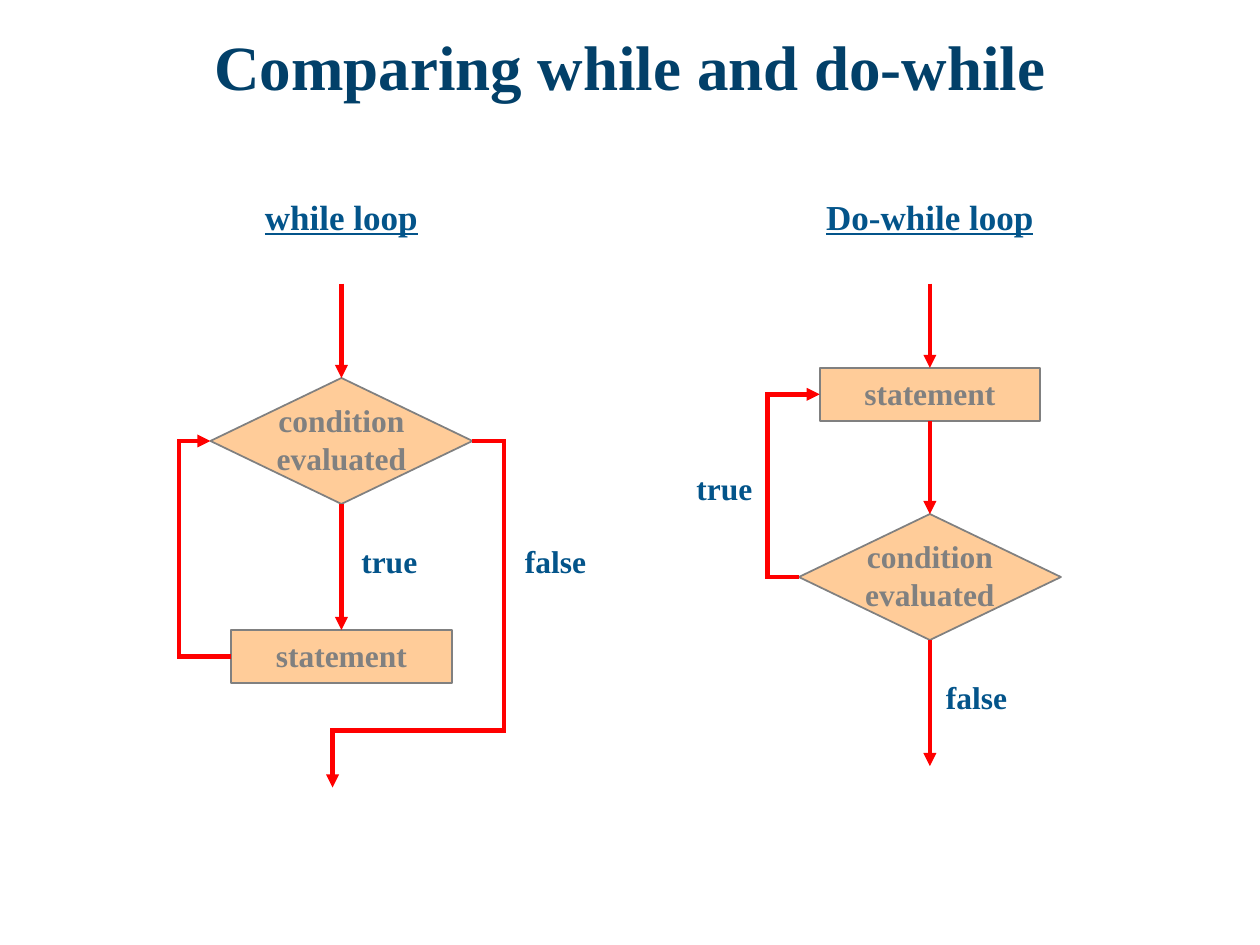
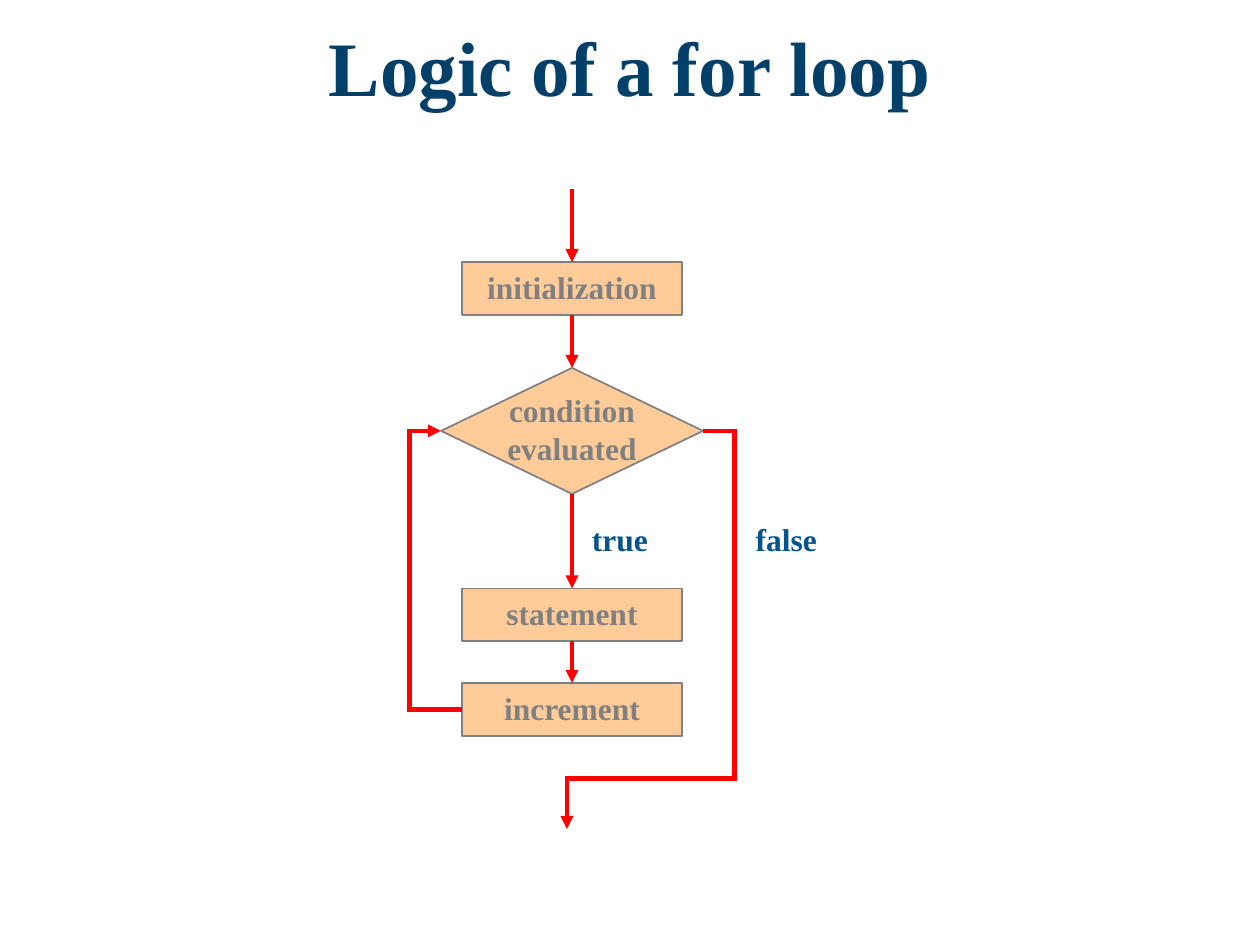
"""Build two slides of loop flowcharts: while, do-while and for."""
import pptx
import pptx.dml.color
import pptx.enum.shapes
import pptx.enum.text
import pptx.oxml
import pptx.oxml.ns
import pptx.util
from pptx.util import Inches, Pt

FONT = "Times New Roman"
COLORS = {
    "title": "024069",
    "label": "03548A",
    "node": "FFCC99",
    "node_edge": "808080",
    "arrow": "FF0000",
}
SHAPES = pptx.enum.shapes.MSO_SHAPE
CONNECTORS = pptx.enum.shapes.MSO_CONNECTOR
NODE_KINDS = {
    "step": (SHAPES.RECTANGLE, 1.75, 0.42),
    "test": (SHAPES.DIAMOND, 2.08, 1),
}
LANE = 1.29
TOP, LEFT, BOTTOM, RIGHT = 0, 1, 2, 3
CONDITION = "condition\nevaluated"

SLIDES = [
    {
        "title": ("Comparing while and do-while", 36),
        "flows": [
            {
                "center": 2.71,
                "heading": "while loop",
                "entry": 2.25,
                "nodes": [("test", CONDITION, 3), ("step", "statement", 5)],
                "back": (1, 0),
                "side_exit": {"node": 0, "turn": 5.8, "end": 6.25, "shift": -0.07},
                "labels": [("true", 0.38, 4.25), ("false", 1.7, 4.25)],
            },
            {
                "center": 7.38,
                "heading": "Do-while loop",
                "entry": 2.25,
                "nodes": [("step", "statement", 2.92), ("test", CONDITION, 4.08)],
                "back": (1, 0),
                "down_exit": 6.08,
                "labels": [("true", -1.63, 3.67), ("false", 0.37, 5.33)],
            },
        ],
    },
    {
        "title": ("Logic of a for loop", 44),
        "flows": [
            {
                "center": 4.54,
                "entry": 1.5,
                "nodes": [
                    ("step", "initialization", 2.08),
                    ("test", CONDITION, 2.92),
                    ("step", "statement", 4.67),
                    ("step", "increment", 5.42),
                ],
                "back": (3, 1),
                "side_exit": {"node": 1, "turn": 6.18, "end": 6.58, "shift": -0.04},
                "labels": [("true", 0.38, 4.08), ("false", 1.7, 4.08)],
            },
        ],
    },
]


def rgb(name):
    return pptx.dml.color.RGBColor.from_string(COLORS[name])


def write(sp, text, *, size=18, color="label", underline=None, wrap=False):
    tf = sp.text_frame
    tf.word_wrap = wrap
    tf.vertical_anchor = pptx.enum.text.MSO_ANCHOR.MIDDLE
    for i, line in enumerate(text.split("\n")):
        p = tf.add_paragraph() if i else tf.paragraphs[0]
        p.alignment = pptx.enum.text.PP_ALIGN.CENTER
        r = p.add_run()
        r.text = line
        r.font.name = FONT
        r.font.size = Pt(size)
        r.font.bold = True
        r.font.underline = underline
        r.font.color.rgb = rgb(color)


def add_label(slide, text, center, top, width=0.7, height=0.4, **fmt):
    sp = slide.shapes.add_textbox(
        Inches(center - width / 2), Inches(top), Inches(width), Inches(height))
    write(sp, text, **fmt)


def add_node(slide, center, kind, text, top):
    preset, width, height = NODE_KINDS[kind]
    sp = slide.shapes.add_shape(
        preset, Inches(center - width / 2), Inches(top), Inches(width), Inches(height))
    sp.shadow.inherit = False
    sp.fill.solid()
    sp.fill.fore_color.rgb = rgb("node")
    sp.line.color.rgb = rgb("node_edge")
    sp.line.width = Pt(1)
    tf = sp.text_frame
    tf.margin_left = tf.margin_right = tf.margin_top = 0
    tf.margin_bottom = Inches(0.03)
    write(sp, text, color="node_edge")
    return sp


def side(sp, site):
    """Return the middle of one side of a node."""
    x = {LEFT: sp.left, RIGHT: sp.left + sp.width}.get(site, sp.left + sp.width // 2)
    y = {TOP: sp.top, BOTTOM: sp.top + sp.height}.get(site, sp.top + sp.height // 2)
    return x, y


def add_arrow(slide, start, end, kind=CONNECTORS.STRAIGHT):
    c = slide.shapes.add_connector(kind, *start, *end)
    c.line.color.rgb = rgb("arrow")
    c.line.width = Pt(2.5)
    ns = pptx.oxml.ns.nsdecls("a")
    sp_pr = c._element.spPr
    ln = sp_pr.find(pptx.oxml.ns.qn("a:ln"))
    ln.append(pptx.oxml.parse_xml(f'<a:miter {ns} lim="800000"/>'))
    ln.append(pptx.oxml.parse_xml(f'<a:tailEnd {ns} type="triangle"/>'))
    sp_pr.append(pptx.oxml.parse_xml(f"<a:effectLst {ns}/>"))
    return c


def add_bent_arrow(slide, start, end, lane, turn=None):
    """Route an arrow along a vertical lane, then along a turn if given."""
    c = add_arrow(slide, start, end, CONNECTORS.ELBOW)
    adjusts = [(lane - start[0]) / (end[0] - start[0])]
    if turn is not None:
        adjusts.append((turn - start[1]) / (end[1] - start[1]))
    guides = "".join(
        f'<a:gd name="adj{i}" fmla="val {round(value * 100000)}"/>'
        for i, value in enumerate(adjusts, 1))
    ns = pptx.oxml.ns.nsdecls("a")
    old = c._element.spPr.find(pptx.oxml.ns.qn("a:prstGeom"))
    old.getparent().replace(old, pptx.oxml.parse_xml(
        f'<a:prstGeom {ns} prst="bentConnector{len(adjusts) + 2}">'
        f"<a:avLst>{guides}</a:avLst></a:prstGeom>"))


def add_flow(slide, flow):
    center = flow["center"]
    nodes = [add_node(slide, center, *node) for node in flow["nodes"]]

    entry = add_arrow(slide, (Inches(center), Inches(flow["entry"])), side(nodes[0], TOP))
    entry.end_connect(nodes[0], TOP)
    for upper, lower in zip(nodes, nodes[1:]):
        c = add_arrow(slide, side(upper, BOTTOM), side(lower, TOP))
        c.begin_connect(upper, BOTTOM)
        c.end_connect(lower, TOP)

    source, target = (nodes[i] for i in flow["back"])
    add_bent_arrow(slide, side(source, LEFT), side(target, LEFT), Inches(center - LANE))

    if "side_exit" in flow:
        leave = flow["side_exit"]
        end = Inches(center + leave["shift"]), Inches(leave["end"])
        add_bent_arrow(slide, side(nodes[leave["node"]], RIGHT), end,
                       Inches(center + LANE), Inches(leave["turn"]))
    else:
        last = nodes[-1]
        c = add_arrow(slide, side(last, BOTTOM), (Inches(center), Inches(flow["down_exit"])))
        c.begin_connect(last, BOTTOM)

    for text, shift, top in flow["labels"]:
        add_label(slide, text, center + shift, top)
    if "heading" in flow:
        add_label(slide, flow["heading"], center, 1.5, 1.86, 0.43, size=20, underline=True)


def main():
    prs = pptx.Presentation()
    prs.slide_width, prs.slide_height = Inches(10), Inches(7.5)
    for content in SLIDES:
        slide = prs.slides.add_slide(prs.slide_layouts[6])
        title, size = content["title"]
        add_label(slide, title, 5, 0.21, 9, 0.62, size=size, color="title", wrap=True)
        for flow in content["flows"]:
            add_flow(slide, flow)
    prs.save("out.pptx")


if __name__ == "__main__":
    main()
